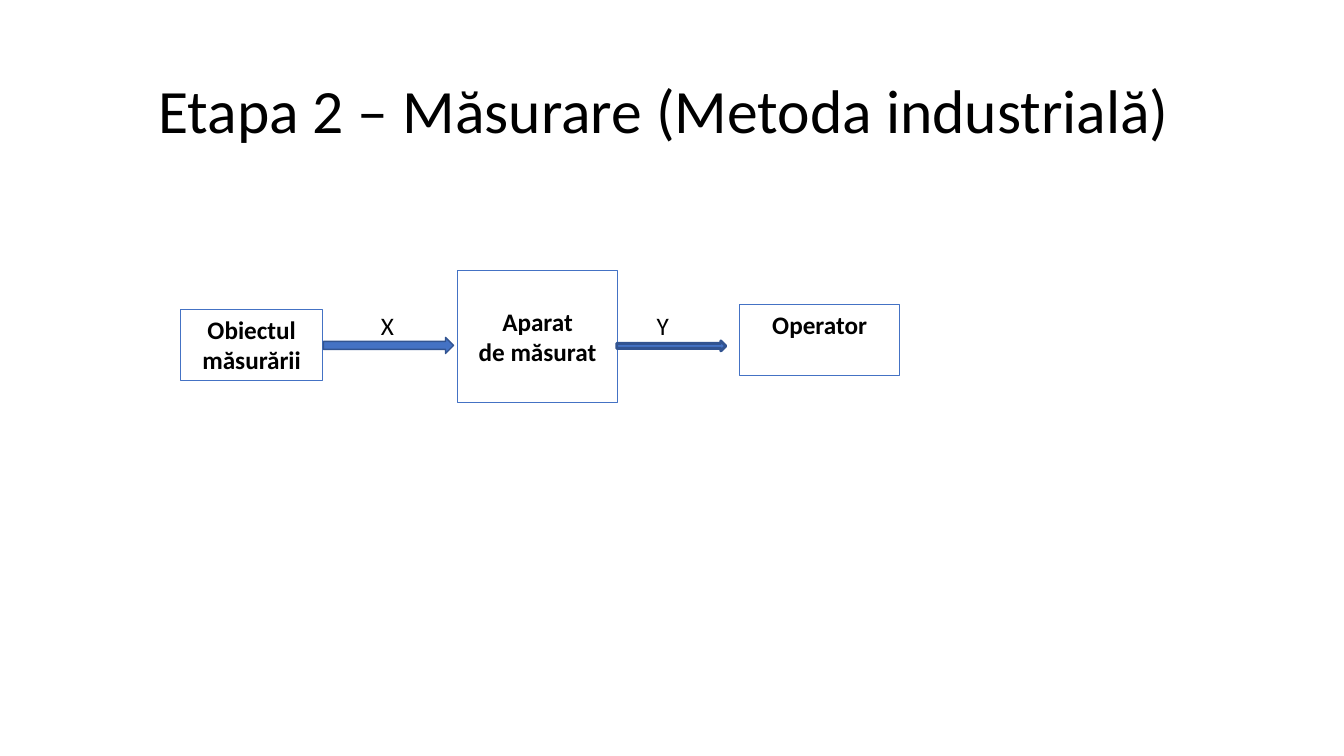
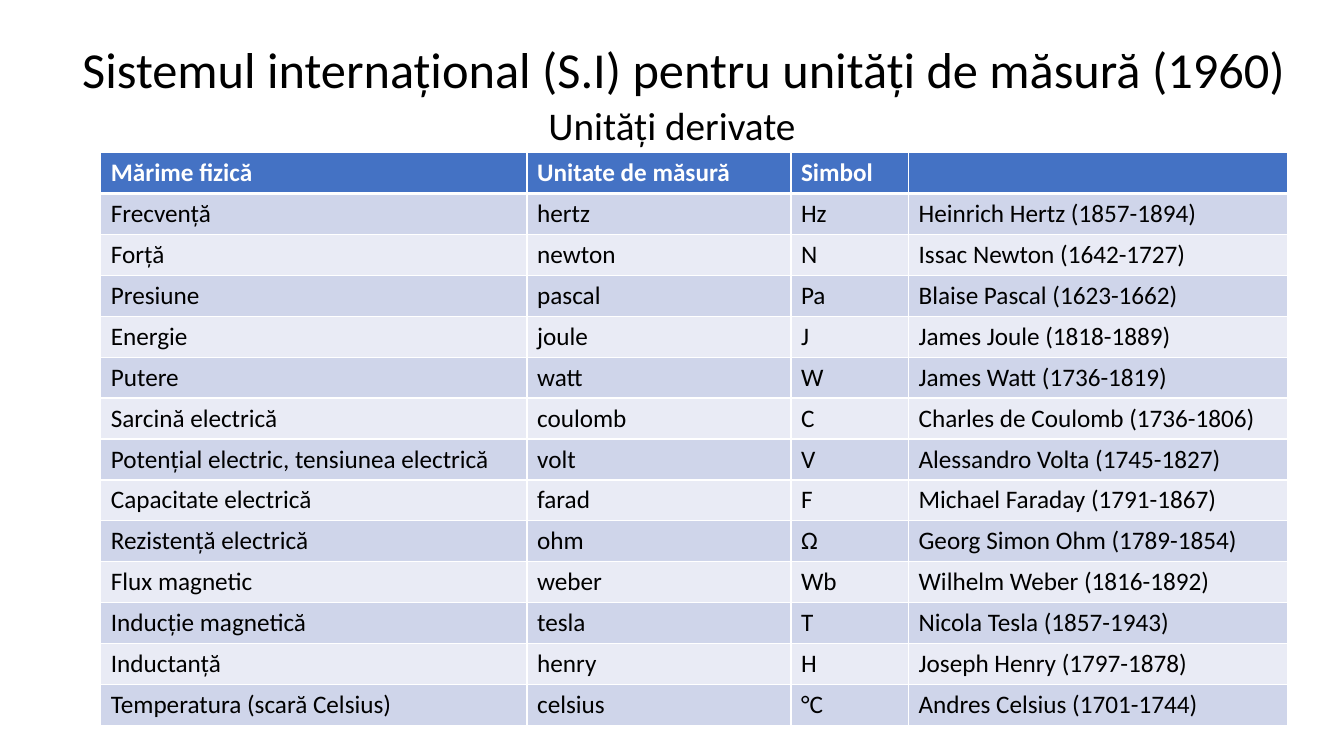
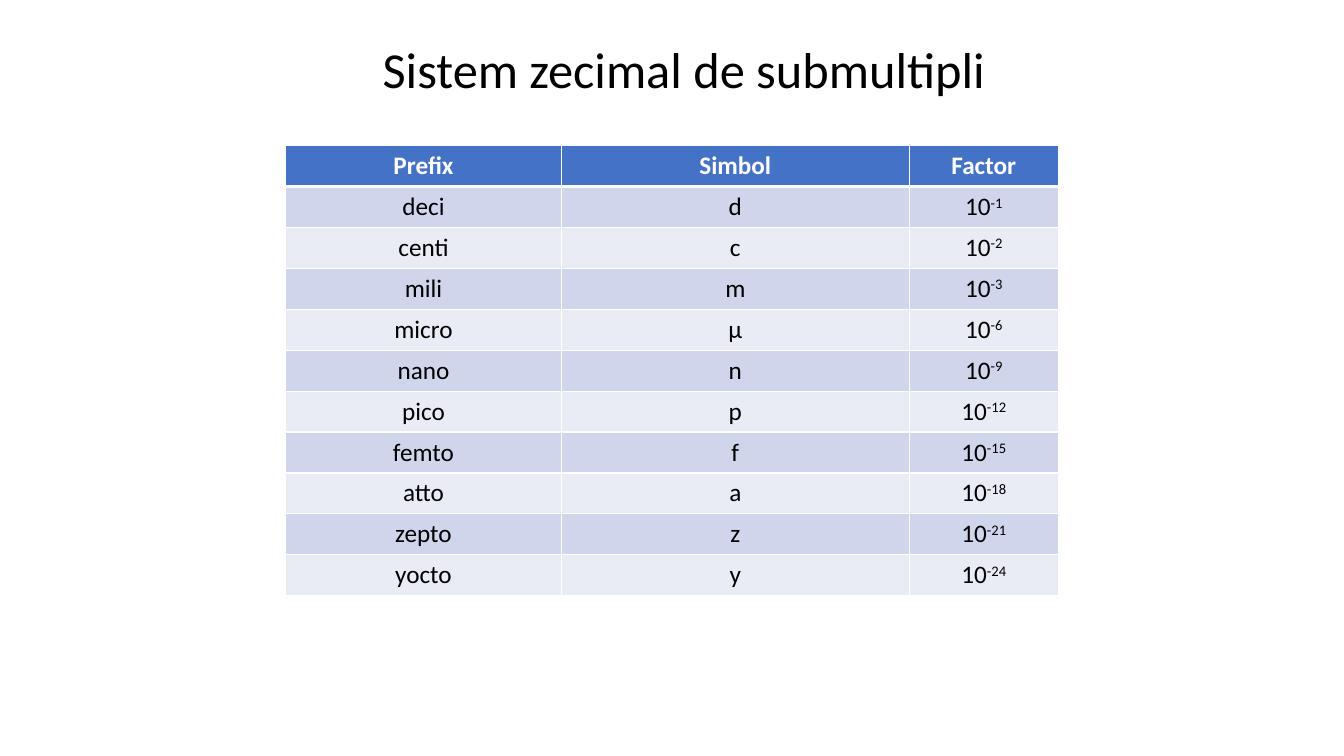
"""Builds three slides on measurement, SI derived units and decimal submultiples."""
from dataclasses import dataclass
from typing import Any, NamedTuple

from lxml.etree import SubElement
from pptx import Presentation
from pptx.dml.color import RGBColor
from pptx.enum.shapes import MSO_SHAPE
from pptx.enum.text import MSO_ANCHOR, PP_ALIGN
from pptx.oxml.ns import qn
from pptx.util import Pt


@dataclass(frozen=True)
class Theme:
    font: str = "Calibri"
    black: RGBColor = RGBColor(0x00, 0x00, 0x00)
    white: RGBColor = RGBColor(0xFF, 0xFF, 0xFF)
    accent: RGBColor = RGBColor(0x44, 0x72, 0xC4)
    accent_dark: RGBColor = RGBColor(0x32, 0x54, 0x91)
    bands: tuple[RGBColor, RGBColor] = (RGBColor(0xCF, 0xD5, 0xEA), RGBColor(0xE9, 0xEB, 0xF5))
    large_title: float = 44
    title: float = 36
    subtitle: float = 28
    body: float = 18
    row_height: float = 29.25
    thin: float = 1
    thick: float = 3


THEME = Theme()


class Box(NamedTuple):
    left: float
    top: float
    width: float
    height: float


class Block(NamedTuple):
    box: Box
    text: str
    anchor: MSO_ANCHOR = MSO_ANCHOR.TOP


class Arrow(NamedTuple):
    box: Box
    line_width: float


class TableData(NamedTuple):
    left: float
    top: float
    widths: tuple[float, ...]
    align: PP_ALIGN
    rows: tuple[tuple[str, ...], ...]


TITLE_BOX = Box(29.5, 0, 918, 103)

BLOCKS = (
    Block(Box(129, 221, 101.5, 51), "Obiectul\nmăsurării"),
    Block(Box(327, 193, 114, 94.5), "Aparat\nde măsurat", MSO_ANCHOR.MIDDLE),
    Block(Box(528.5, 217.5, 114, 51), "Operator"),
)
ARROWS = (
    Arrow(Box(231, 241, 93, 11.5), 1),
    Arrow(Box(440.5, 243.5, 78, 7.2), 2),
)
LABELS = (
    Block(Box(265, 218, 35, 29), "X"),
    Block(Box(462, 218, 35, 29), "Y"),
)

UNITS = TableData(72, 109, (304.5, 188.5, 84, 270.5), PP_ALIGN.LEFT, (
    ("Mărime fizică", "Unitate de măsură", "Simbol", ""),
    ("Frecvență", "hertz", "Hz", "Heinrich Hertz (1857-1894)"),
    ("Forță", "newton", "N", "Issac Newton (1642-1727)"),
    ("Presiune", "pascal", "Pa", "Blaise Pascal (1623-1662)"),
    ("Energie", "joule", "J", "James Joule (1818-1889)"),
    ("Putere", "watt", "W", "James Watt (1736-1819)"),
    ("Sarcină electrică", "coulomb", "C", "Charles de Coulomb (1736-1806)"),
    ("Potențial electric, tensiunea electrică", "volt", "V", "Alessandro Volta (1745-1827)"),
    ("Capacitate electrică", "farad", "F", "Michael Faraday (1791-1867)"),
    ("Rezistență electrică", "ohm", "Ω", "Georg Simon Ohm (1789-1854)"),
    ("Flux magnetic", "weber", "Wb", "Wilhelm Weber (1816-1892)"),
    ("Inducție magnetică", "tesla", "T", "Nicola Tesla (1857-1943)"),
    ("Inductanță", "henry", "H", "Joseph Henry (1797-1878)"),
    ("Temperatura (scară Celsius)", "celsius", "°C", "Andres Celsius (1701-1744)"),
))

SUBMULTIPLES = TableData(204, 104, (197, 248.5, 106.5), PP_ALIGN.CENTER, (
    ("Prefix", "Simbol", "Factor"),
    ("deci", "d", "10^-1"),
    ("centi", "c", "10^-2"),
    ("mili", "m", "10^-3"),
    ("micro", "μ", "10^-6"),
    ("nano", "n", "10^-9"),
    ("pico", "p", "10^-12"),
    ("femto", "f", "10^-15"),
    ("atto", "a", "10^-18"),
    ("zepto", "z", "10^-21"),
    ("yocto", "y", "10^-24"),
))


def apply(target: Any, values: dict[str, Any]) -> None:
    for name, value in values.items():
        setattr(target, name, value)


def points(box: Box) -> tuple[Pt, ...]:
    return tuple(Pt(v) for v in box)


def write(tf: Any, text: str, size: float, align: PP_ALIGN = PP_ALIGN.LEFT,
          color: RGBColor = THEME.black, bold: bool = False, spacing: float = 1.0) -> None:
    for i, line in enumerate(text.split("\n")):
        p = tf.add_paragraph() if i else tf.paragraphs[0]
        apply(p, {"alignment": align, "line_spacing": spacing})
        base, _, power = line.partition("^")
        for part in filter(None, (base, power)):
            r = p.add_run()
            r.text = part
            apply(r.font, {"name": THEME.font, "size": Pt(size), "bold": bold})
            r.font.color.rgb = color
        if power:
            r._r.get_or_add_rPr().set("baseline", "30000")


def add_text(s: Any, box: Box, text: str, size: float, align: PP_ALIGN = PP_ALIGN.LEFT,
             anchor: MSO_ANCHOR = MSO_ANCHOR.TOP, spacing: float = 1.0) -> None:
    tf = s.shapes.add_textbox(*points(box)).text_frame
    apply(tf, {"word_wrap": True, "vertical_anchor": anchor})
    write(tf, text, size, align, spacing=spacing)


def add_title(s: Any, text: str, box: Box = TITLE_BOX, size: float = THEME.title,
              align: PP_ALIGN = PP_ALIGN.CENTER) -> None:
    add_text(s, box, text, size, align, MSO_ANCHOR.MIDDLE, 0.9)


def add_block(s: Any, block: Block) -> None:
    sp = s.shapes.add_shape(MSO_SHAPE.RECTANGLE, *points(block.box))
    sp.shadow.inherit = False
    sp.fill.background()
    sp.line.color.rgb = THEME.accent
    sp.line.width = Pt(0.75)
    apply(sp.text_frame, {"word_wrap": True, "vertical_anchor": block.anchor})
    write(sp.text_frame, block.text, THEME.body, PP_ALIGN.CENTER, bold=True)


def add_arrow(s: Any, arrow: Arrow) -> None:
    sp = s.shapes.add_shape(MSO_SHAPE.RIGHT_ARROW, *points(arrow.box))
    sp.shadow.inherit = False
    sp.fill.solid()
    sp.fill.fore_color.rgb = THEME.accent
    sp.line.color.rgb = THEME.accent_dark
    sp.line.width = Pt(arrow.line_width)


def set_borders(cell: Any, row: int) -> None:
    tc_pr = cell._tc.get_or_add_tcPr()
    widths = {"L": THEME.thin, "R": THEME.thin,
              "T": THEME.thick if row == 1 else THEME.thin,
              "B": THEME.thick if row == 0 else THEME.thin}
    for side, width in widths.items():
        ln = SubElement(tc_pr, qn(f"a:ln{side}"), w=str(Pt(width)))
        fill = SubElement(ln, qn("a:solidFill"))
        SubElement(fill, qn("a:srgbClr"), val=str(THEME.white))


def add_table(s: Any, data: TableData) -> None:
    box = Box(data.left, data.top, sum(data.widths), THEME.row_height * len(data.rows))
    table = s.shapes.add_table(len(data.rows), len(data.widths), *points(box)).table
    table.horz_banding = False
    for column, width in zip(table.columns, data.widths):
        column.width = Pt(width)
    for i, row in enumerate(data.rows):
        header = i == 0
        table.rows[i].height = Pt(THEME.row_height)
        for j, text in enumerate(row):
            cell = table.cell(i, j)
            set_borders(cell, i)
            cell.fill.solid()
            cell.fill.fore_color.rgb = THEME.accent if header else THEME.bands[(i - 1) % 2]
            write(cell.text_frame, text, THEME.body, data.align,
                  THEME.white if header else THEME.black, header)


def main() -> None:
    prs = Presentation()
    apply(prs, {"slide_width": Pt(960), "slide_height": Pt(540)})
    method, units, submultiples = (prs.slides.add_slide(prs.slide_layouts[6]) for _ in range(3))

    add_title(method, "Etapa 2 – Măsurare (Metoda industrială)", Box(106, 29, 788, 104),
              THEME.large_title, PP_ALIGN.LEFT)
    for block in BLOCKS:
        add_block(method, block)
    for arrow in ARROWS:
        add_arrow(method, arrow)
    for label in LABELS:
        add_text(method, label.box, label.text, THEME.body)

    add_title(units, "Sistemul internațional (S.I) pentru unități de măsură (1960)")
    add_text(units, Box(66, 72.5, 828, 38), "Unități derivate", THEME.subtitle,
             PP_ALIGN.CENTER, spacing=0.9)
    add_table(units, UNITS)

    add_title(submultiples, "Sistem zecimal de submultipli")
    add_table(submultiples, SUBMULTIPLES)
    prs.save("out.pptx")


if __name__ == "__main__":
    main()
